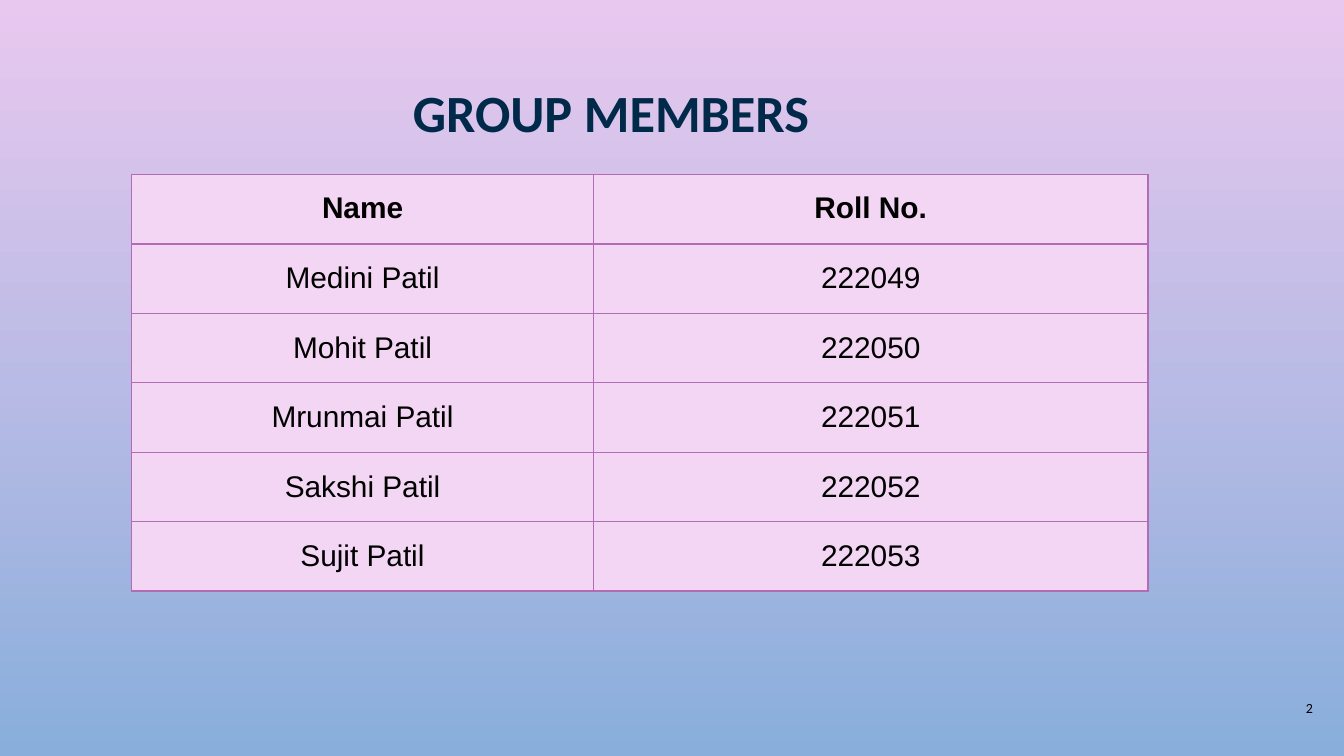
from dataclasses import dataclass

from lxml import etree
from pptx import Presentation
from pptx.dml.color import RGBColor
from pptx.enum import text as t
from pptx.oxml import ns
from pptx.util import Pt

NAVY = RGBColor(0x01, 0x2A, 0x4A)
BLACK = RGBColor(0, 0, 0)
ORCHID = RGBColor(0xB2, 0x6B, 0xB4)
PALE_PINK = RGBColor(0xF3, 0xD6, 0xF3)
PINK = RGBColor(0xE9, 0xC8, 0xEF)
BLUE = RGBColor(0x89, 0xAE, 0xDB)


@dataclass(frozen=True)
class Style:
    font: str
    size: float
    color: RGBColor
    bold: bool
    align: t.PP_ALIGN
    anchor: t.MSO_ANCHOR
    inset: float


@dataclass(frozen=True)
class Member:
    name: str
    roll: str


TITLE = Style("Calibri", 28, NAVY, True, t.PP_ALIGN.CENTER, t.MSO_ANCHOR.BOTTOM, 7.2)
NUMBER = Style("Calibri", 7.5, BLACK, False, t.PP_ALIGN.RIGHT, t.MSO_ANCHOR.TOP, 7.2)
HEADER = Style("Arial", 16, BLACK, True, t.PP_ALIGN.CENTER, t.MSO_ANCHOR.TOP, 9)
BODY = Style("Arial", 16, BLACK, False, t.PP_ALIGN.CENTER, t.MSO_ANCHOR.MIDDLE, 9)

ROWS = [
    Member("Name", "Roll No."),
    Member("Medini Patil", "222049"),
    Member("Mohit Patil", "222050"),
    Member("Mrunmai Patil", "222051"),
    Member("Sakshi Patil", "222052"),
    Member("Sujit Patil", "222053"),
]
COL_WIDTHS = (247.5, 297)
ROW_HEIGHT = 37


def set_text(holder, text: str, style: Style) -> None:
    tf = holder.text_frame
    tf.text = text
    holder_box = tf if hasattr(tf, "margin_left") and not hasattr(holder, "margin_left") else holder
    holder_box.vertical_anchor = style.anchor
    for side in ("left", "right", "top", "bottom"):
        setattr(holder_box, f"margin_{side}", Pt(style.inset))
    p = tf.paragraphs[0]
    p.alignment = style.align
    r = p.runs[0]
    r.font.name = style.font
    r.font.size = Pt(style.size)
    r.font.bold = style.bold
    r.font.color.rgb = style.color


def set_borders(cell, color: RGBColor, width: float) -> None:
    tc_pr = cell._tc.get_or_add_tcPr()
    for side in ("lnL", "lnR", "lnT", "lnB"):
        ln = etree.SubElement(tc_pr, ns.qn(f"a:{side}"), w=str(Pt(width)))
        fill = etree.SubElement(ln, ns.qn("a:solidFill"))
        etree.SubElement(fill, ns.qn("a:srgbClr"), val=str(color))


def add_members(s, left: float, top: float, members: list[Member]) -> None:
    frame = s.shapes.add_table(
        len(members), len(COL_WIDTHS), Pt(left), Pt(top),
        Pt(sum(COL_WIDTHS)), Pt(ROW_HEIGHT * len(members)),
    )
    table = frame.table
    for col, width in zip(table.columns, COL_WIDTHS):
        col.width = Pt(width)
    for i, member in enumerate(members):
        table.rows[i].height = Pt(ROW_HEIGHT)
        for j, text in enumerate((member.name, member.roll)):
            cell = table.cell(i, j)
            set_text(cell, text, BODY if i else HEADER)
            set_borders(cell, ORCHID, 0.75)
            cell.fill.solid()
            cell.fill.fore_color.rgb = PALE_PINK


def set_background(s, top: RGBColor, bottom: RGBColor) -> None:
    fill = s.background.fill
    fill.gradient()
    fill.gradient_angle = 270
    for stop, color, position in zip(fill.gradient_stops, (top, bottom), (0, 1)):
        stop.color.rgb = color
        stop.position = position


def main() -> None:
    prs = Presentation()
    prs.slide_width, prs.slide_height = Pt(720), Pt(405)
    s = prs.slides.add_slide(prs.slide_layouts[6])
    set_background(s, PINK, BLUE)

    title = s.shapes.add_textbox(Pt(-16.5), Pt(16.5), Pt(687.5), Pt(67.5))
    title.text_frame.word_wrap = True
    set_text(title, "GROUP MEMBERS", TITLE)
    title.text_frame.paragraphs[0].line_spacing = 0.9

    number = s.shapes.add_textbox(Pt(667.5), Pt(370), Pt(43), Pt(24.5))
    number.text_frame.word_wrap = True
    set_text(number, "2", NUMBER)

    add_members(s, 70.5, 93.5, ROWS)
    prs.save("out.pptx")


if __name__ == "__main__":
    main()
